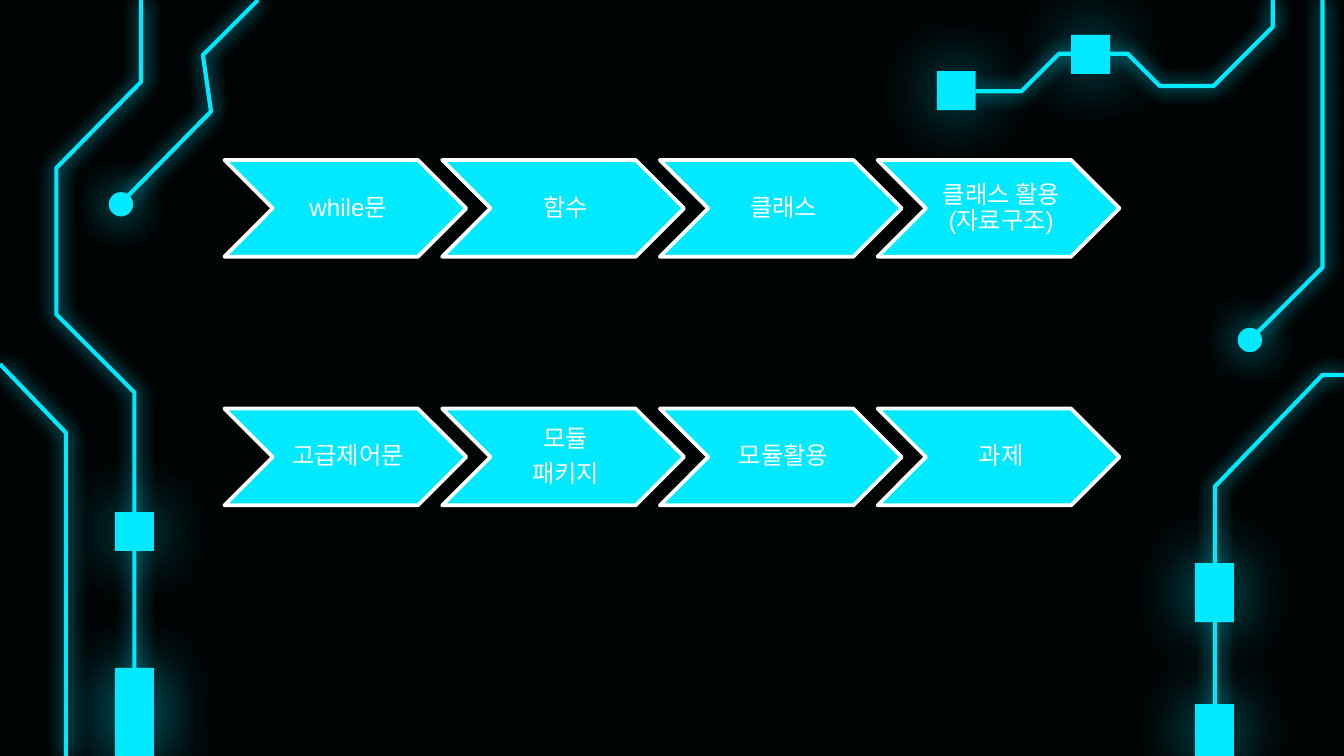
from lxml.etree import SubElement
from pptx import Presentation
from pptx.dml.color import RGBColor as RGB
from pptx.enum.shapes import MSO_SHAPE as Shape
from pptx.enum.text import MSO_ANCHOR as Anchor, PP_ALIGN as Align
from pptx.oxml.ns import qn
from pptx.util import Inches, Pt

COLORS = {"back": "000304", "neon": "00E9FF", "white": "FFFFFF"}
WIDTH = 10
HEIGHT = WIDTH * 9 / 16

TRACES = [
    [(0, 2.71), (0.49, 3.22), (0.49, HEIGHT)],
    [(1.05, 0), (1.05, 0.61), (0.42, 1.25), (0.42, 2.34), (1, 2.92), (1, HEIGHT)],
    [(1.92, 0), (1.51, 0.41), (1.57, 0.83), (0.94, 1.47)],
    [(WIDTH, 2.79), (9.84, 2.79), (9.04, 3.62), (9.04, HEIGHT)],
    [(9.84, 0), (9.84, 1.99), (9.34, 2.49)],
    [(9.47, 0), (9.47, 0.2), (9.03, 0.64), (8.63, 0.64),
     (8.39, 0.4), (7.88, 0.4), (7.6, 0.68), (7.26, 0.68)],
]
PADS = [
    (0.855, 3.81, 0.29), (0.855, 4.97, HEIGHT - 4.97),
    (8.89, 4.19, 0.44), (8.89, 5.24, HEIGHT - 5.24),
    (6.97, 0.53, 0.29), (7.97, 0.26, 0.29),
]
DOTS = [(0.82, 1.44), (9.22, 2.45)]
STEPS = [
    (1.19, ["while문", "함수", "클래스", "클래스 활용(자료구조)"]),
    (3.04, ["고급제어문", "모듈\n패키지", "모듈활용", "과제"]),
]


class CircuitSlide:
    font = "Arial"
    text_size = 13

    def __init__(self, prs):
        self.slide = prs.slides.add_slide(prs.slide_layouts[6])
        fill = self.slide.background.fill
        fill.solid()
        fill.fore_color.rgb = self.color("back")

    def color(self, name):
        return RGB.from_string(COLORS[name])

    def outline(self, sp, name, width):
        sp.line.color.rgb = self.color(name)
        sp.line.width = Pt(width)

    def glow(self, sp, blur, alpha):
        sp.shadow.inherit = False
        effects = sp.element.spPr.find(qn("a:effectLst"))
        shadow = SubElement(effects, qn("a:outerShdw"), blurRad=str(Pt(blur)),
                            dist="0", dir="0", algn="ctr", rotWithShape="0")
        clr = SubElement(shadow, qn("a:srgbClr"), val=COLORS["neon"])
        SubElement(clr, qn("a:alpha"), val=str(alpha * 1000))

    def shape(self, kind, x, y, w, h):
        sp = self.slide.shapes.add_shape(kind, Inches(x), Inches(y), Inches(w), Inches(h))
        sp.fill.solid()
        sp.fill.fore_color.rgb = self.color("neon")
        return sp

    def trace(self, points):
        start, *rest = [(Inches(x), Inches(y)) for x, y in points]
        builder = self.slide.shapes.build_freeform(*start)
        builder.add_line_segments(rest, close=False)
        sp = builder.convert_to_shape()
        sp.fill.background()
        self.outline(sp, "neon", 2.25)
        self.glow(sp, 10.1, 100)

    def pad(self, x, y, h):
        sp = self.shape(Shape.RECTANGLE, x, y, 0.29, h)
        sp.line.fill.background()
        self.glow(sp, 36, 70)

    def dot(self, x, y):
        sp = self.shape(Shape.OVAL, x, y, 0.16, 0.16)
        self.outline(sp, "neon", 1.5)
        self.glow(sp, 22.5, 100)

    def step(self, x, y, text):
        sp = self.shape(Shape.CHEVRON, x, y, 1.8, 0.72)
        self.outline(sp, "white", 2)
        sp.shadow.inherit = False
        tf = sp.text_frame
        tf.word_wrap = True
        tf.vertical_anchor = Anchor.MIDDLE
        tf.margin_left = Inches(0.06)
        tf.margin_right = tf.margin_top = tf.margin_bottom = Inches(0.02)
        tf.text = text
        for p in tf.paragraphs:
            p.alignment = Align.CENTER
            p.line_spacing = 0.9
            p.space_after = Pt(4.5)
            p.font.name = self.font
            p.font.size = Pt(self.text_size)
            p.font.color.rgb = self.color("white")


def main():
    prs = Presentation()
    prs.slide_width, prs.slide_height = Inches(WIDTH), Inches(HEIGHT)
    s = CircuitSlide(prs)
    for points in TRACES:
        s.trace(points)
    for pad in PADS:
        s.pad(*pad)
    for dot in DOTS:
        s.dot(*dot)
    for y, labels in STEPS:
        for i, label in enumerate(labels):
            s.step(1.67 + 1.62 * i, y, label)
    prs.save("out.pptx")


if __name__ == "__main__":
    main()
